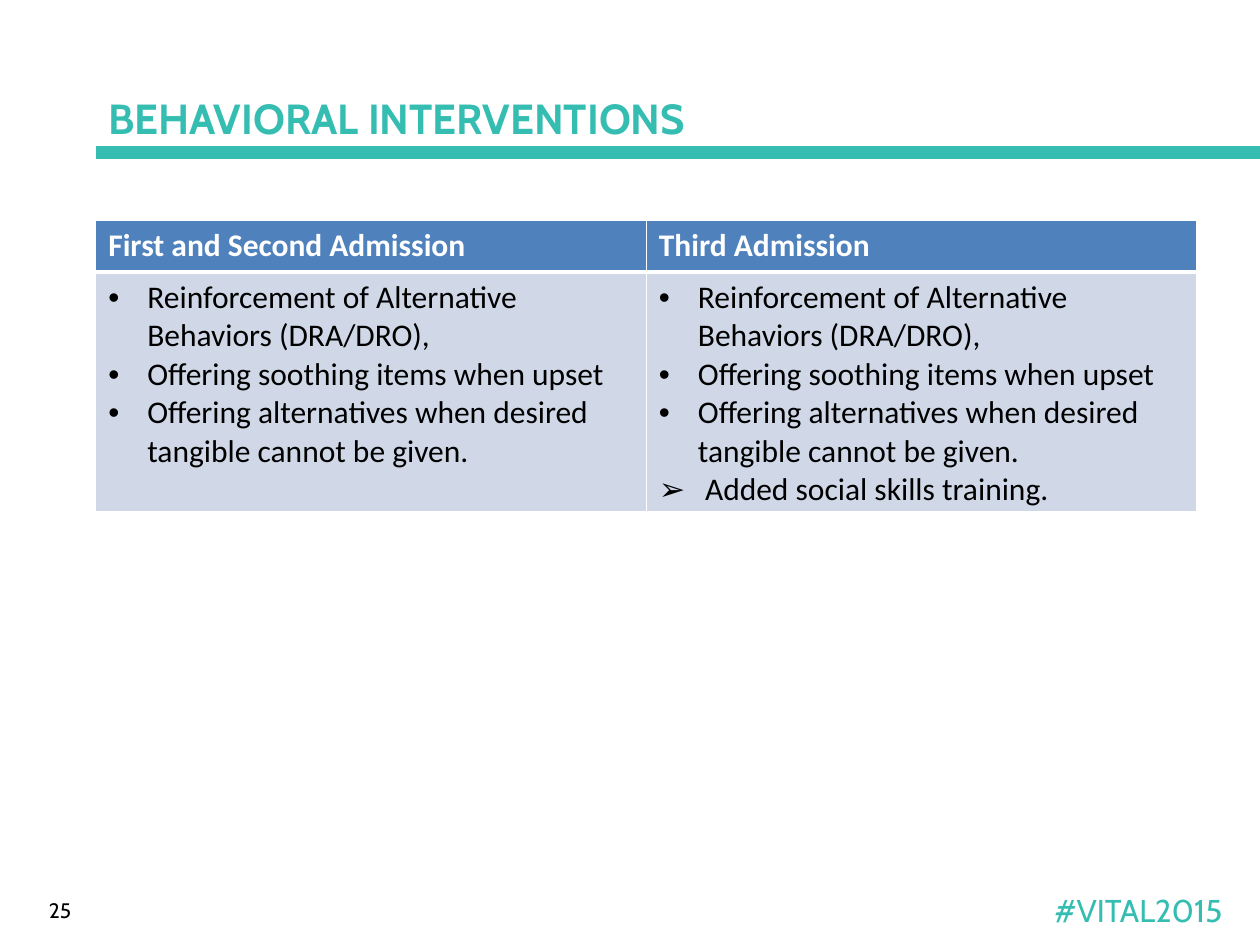
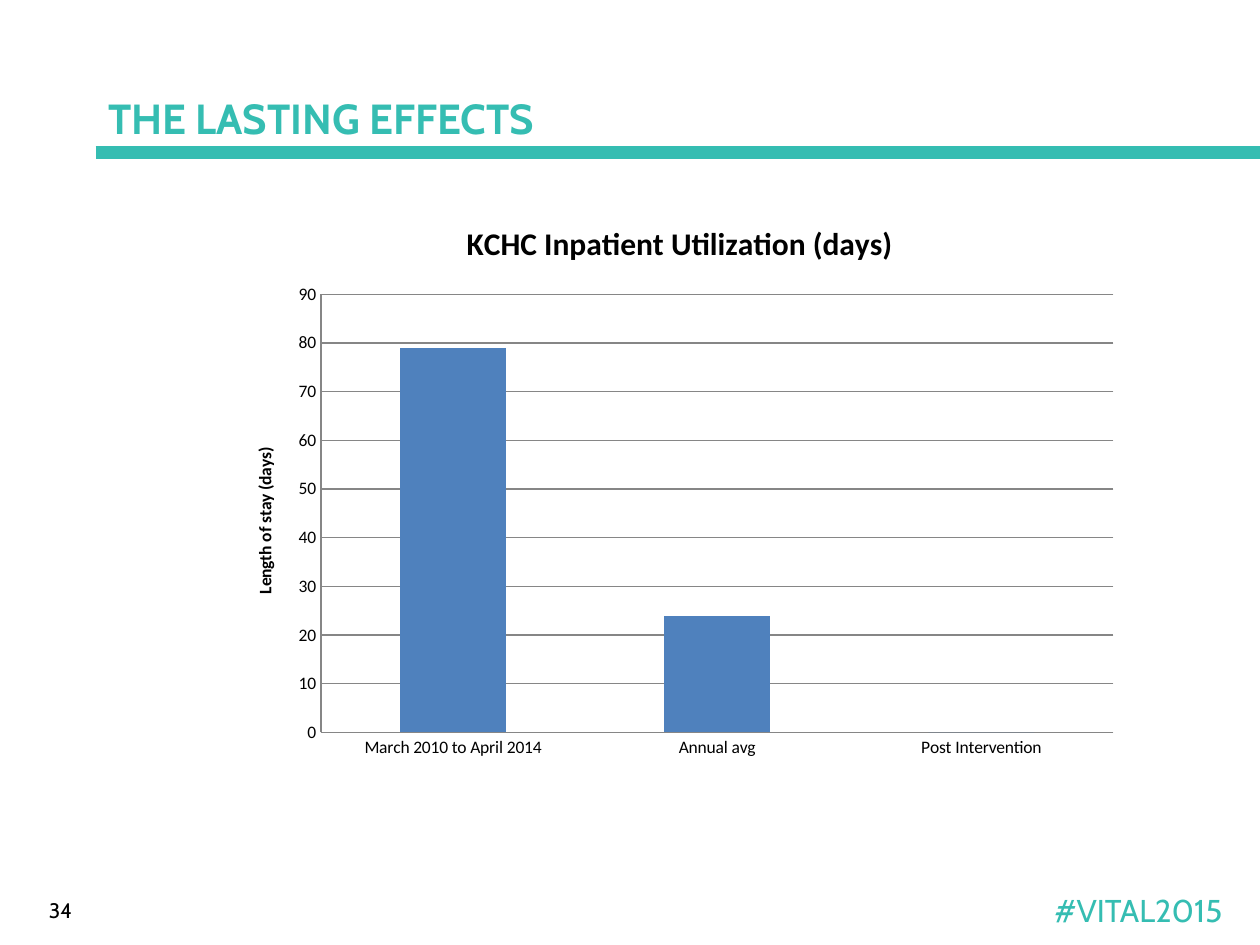
from dataclasses import dataclass

import lxml.etree
import pptx
import pptx.chart.data
import pptx.dml.color
import pptx.enum.chart
import pptx.enum.shapes
import pptx.enum.text
import pptx.oxml.ns
import pptx.util

EMU_PER_PX = 9144  # 100 px to the inch
TEAL = "35BDB2"
BLUE = "4F81BD"
PALE_BLUE = "D0D8E8"
GRID_GREY = "868686"
WHITE = "FFFFFF"
BLACK = "000000"
HEADING_FONT = "Cabin"
BODY_FONT = "Calibri"


@dataclass(frozen=True)
class Box:
    left: int
    top: int
    width: int
    height: int

    def emu(self) -> tuple:
        return tuple(px(length) for length in (self.left, self.top, self.width, self.height))


@dataclass(frozen=True)
class Item:
    text: str
    bullet: str = "•"


@dataclass(frozen=True)
class Column:
    heading: str
    items: tuple


TITLE_BOX = Box(76, 66, 874, 55)
NUMBER_BOX = Box(29, 707, 975, 30)
HASHTAG_BOX = Box(827, 702, 164, 40)
TABLE_BOX = Box(76, 175, 874, 231)
CHART_BOX = Box(181, 157, 717, 453)
HEADER_HEIGHT = 41
INDENT = 31

SHARED_ITEMS = (
    Item("Reinforcement of Alternative Behaviors (DRA/DRO),"),
    Item("Offering soothing items when upset"),
    Item("Offering alternatives when desired tangible cannot be given."),
)
ADMISSIONS = (
    Column("First and Second Admission", SHARED_ITEMS),
    Column("Third Admission", SHARED_ITEMS + (Item(" Added social skills training.", "➢"),)),
)
STAY_DAYS = {"March 2010 to April 2014": 79, "Annual avg": 24, "Post Intervention": 0}


def px(length: int) -> int:
    return pptx.util.Emu(length * EMU_PER_PX)


def rgb(color: str) -> pptx.dml.color.RGBColor:
    return pptx.dml.color.RGBColor.from_string(color)


def style_font(font, size: int, color: str = BLACK, name: str = BODY_FONT, bold: bool = False) -> None:
    font.size = pptx.util.Pt(size)
    font.color.rgb = rgb(color)
    font.name = name
    font.bold = bold


def write(paragraph, text: str, **text_format) -> None:
    """Add a run to the paragraph, formatted by the arguments of style_font."""
    run = paragraph.add_run()
    run.text = text
    style_font(run.font, **text_format)


def add_element(parent, tag: str, **attributes):
    element = lxml.etree.SubElement(parent, pptx.oxml.ns.qn(tag))
    for name, value in attributes.items():
        element.set(name, str(value))
    return element


def add_text_box(slide, box: Box, text: str, wrap: bool = True, **text_format) -> None:
    frame = slide.shapes.add_textbox(*box.emu()).text_frame
    frame.word_wrap = wrap
    frame.vertical_anchor = pptx.enum.text.MSO_ANCHOR.MIDDLE
    write(frame.paragraphs[0], text, name=HEADING_FONT, **text_format)


def add_base_slide(presentation, title: str, number: int):
    """Add a blank slide with the title, its rule and the footer."""
    slide = presentation.slides.add_slide(presentation.slide_layouts[6])
    rule = slide.shapes.add_connector(
        pptx.enum.shapes.MSO_CONNECTOR.STRAIGHT, px(76), px(121), px(1000), px(121)
    )
    rule.line.color.rgb = rgb(TEAL)
    rule.line.width = pptx.util.Pt(7)
    add_element(rule.line._get_or_add_ln().getparent(), "a:effectLst")
    add_text_box(slide, NUMBER_BOX, str(number), size=12)
    add_text_box(slide, HASHTAG_BOX, "#VITAL2015", wrap=False, size=18, color=TEAL)
    add_text_box(slide, TITLE_BOX, title, size=24, color=TEAL, bold=True)
    return slide


def style_cell(cell, fill: str, top: int, bottom: int) -> None:
    """Give the cell white borders, with widths in points, and a fill."""
    properties = cell._tc.get_or_add_tcPr()
    for side, width in (("L", 1), ("R", 1), ("T", top), ("B", bottom)):
        line = add_element(properties, f"a:ln{side}", w=pptx.util.Pt(width))
        add_element(add_element(line, "a:solidFill"), "a:srgbClr", val=WHITE)
    cell.fill.solid()
    cell.fill.fore_color.rgb = rgb(fill)


def add_bullet(paragraph, bullet: str) -> None:
    properties = paragraph._p.get_or_add_pPr()
    properties.set("marL", str(px(INDENT)))
    properties.set("indent", str(px(-INDENT)))
    add_element(properties, "a:buFont", typeface="Arial")
    add_element(properties, "a:buChar", char=bullet)


def add_admissions_table(slide) -> None:
    table = slide.shapes.add_table(2, len(ADMISSIONS), *TABLE_BOX.emu()).table
    table.horz_banding = False
    table.rows[0].height = px(HEADER_HEIGHT)
    table.rows[1].height = px(TABLE_BOX.height - HEADER_HEIGHT)
    for index, column in enumerate(ADMISSIONS):
        header, body = table.cell(0, index), table.cell(1, index)
        style_cell(header, BLUE, top=1, bottom=3)
        style_cell(body, PALE_BLUE, top=3, bottom=1)
        write(header.text_frame.paragraphs[0], column.heading, size=18, color=WHITE, bold=True)
        frame = body.text_frame
        for position, item in enumerate(column.items):
            paragraph = frame.add_paragraph() if position else frame.paragraphs[0]
            add_bullet(paragraph, item.bullet)
            write(paragraph, item.text, size=18)


def add_stay_chart(slide) -> None:
    data = pptx.chart.data.CategoryChartData()
    data.categories = list(STAY_DAYS)
    data.add_series("Series 1", list(STAY_DAYS.values()))
    chart = slide.shapes.add_chart(
        pptx.enum.chart.XL_CHART_TYPE.COLUMN_CLUSTERED, *CHART_BOX.emu(), data
    ).chart
    style_font(chart.font, size=10)
    chart.has_legend = False
    chart.has_title = True
    write(chart.chart_title.text_frame.paragraphs[0], "KCHC Inpatient Utilization (days)", size=18, bold=True)

    plot = chart.plots[0]
    plot.gap_width = 150
    plot.vary_by_categories = False
    fill = plot.series[0].format.fill
    fill.solid()
    fill.fore_color.rgb = rgb(BLUE)

    value_axis = chart.value_axis
    value_axis.minimum_scale, value_axis.maximum_scale, value_axis.major_unit = 0, 90, 10
    value_axis.has_major_gridlines = True
    write(value_axis.axis_title.text_frame.paragraphs[0], "Length of stay (days)", size=10, bold=True)
    for axis in (chart.category_axis, value_axis):
        axis.major_tick_mark = pptx.enum.chart.XL_TICK_MARK.NONE
    for line in (chart.category_axis.format.line, value_axis.format.line, value_axis.major_gridlines.format.line):
        line.color.rgb = rgb(GRID_GREY)
        line.width = pptx.util.Pt(0.75)


def main() -> None:
    presentation = pptx.Presentation()
    presentation.slide_width, presentation.slide_height = px(1000), px(750)
    add_admissions_table(add_base_slide(presentation, "BEHAVIORAL INTERVENTIONS", 25))
    add_stay_chart(add_base_slide(presentation, "THE LASTING EFFECTS", 34))
    presentation.save("out.pptx")


if __name__ == "__main__":
    main()
